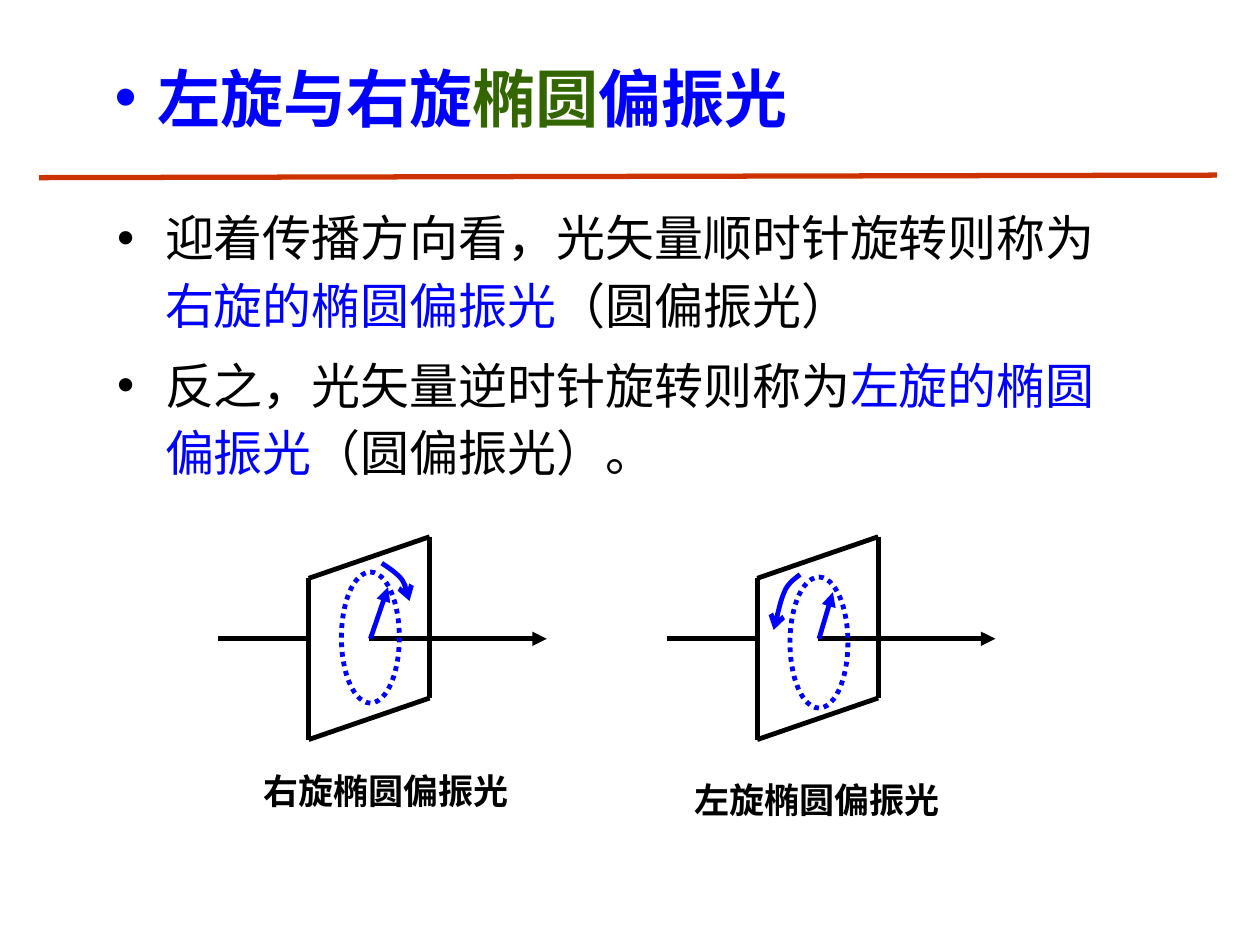
from dataclasses import dataclass

import pptx
import pptx.dml.color
import pptx.enum.dml
import pptx.enum.shapes
import pptx.enum.text
import pptx.oxml.ns
import pptx.util
from lxml import etree
from pptx.util import Inches

Point = tuple[float, float]
Run = tuple[str, str]

BLACK, BLUE, GREEN, RED = "000000", "0000FF", "336600", "CC3300"
STROKE = 2.75
AXIS_Y = 5.07
PANE_WIDTH, PANE_HEIGHT, PANE_RISE, PANE_TOP = 0.96, 1.28, 0.33, 4.59


@dataclass
class Polarization:
    caption: str
    caption_box: tuple[float, float, float, float]
    pane_left: float
    ellipse_top: float
    vector_tip: Point
    rotation: list[Point]


def rgb(value: str) -> pptx.dml.color.RGBColor:
    return pptx.dml.color.RGBColor.from_string(value)


def add_child(parent, tag: str, **attributes: str):
    return etree.SubElement(parent, pptx.oxml.ns.qn(tag), attributes)


def style_line(line, color: str, width: float, arrowhead: str = "") -> None:
    line.color.rgb = rgb(color)
    line.width = pptx.util.Pt(width)
    if arrowhead:
        add_child(line._get_or_add_ln(), "a:tailEnd", type=arrowhead)


def draw_line(slide, start: Point, end: Point, color: str = BLACK,
              width: float = STROKE, arrowhead: str = "") -> None:
    connector = slide.shapes.add_connector(
        pptx.enum.shapes.MSO_CONNECTOR.STRAIGHT,
        *(Inches(value) for value in (*start, *end)))
    style_line(connector.line, color, width, arrowhead)
    add_child(connector._element.spPr, "a:effectLst")


def bezier(controls: list[Point], t: float) -> Point:
    weights = ((1 - t) ** 3, 3 * t * (1 - t) ** 2, 3 * t * t * (1 - t), t ** 3)
    x, y = (sum(w * c[axis] for w, c in zip(weights, controls)) for axis in (0, 1))
    return x, y


def draw_curve(slide, controls: list[Point], steps: int = 8) -> None:
    points = [controls[0]]
    for first in range(0, len(controls) - 1, 3):
        segment = controls[first:first + 4]
        points += [bezier(segment, step / steps) for step in range(1, steps + 1)]
    (start_x, start_y), *rest = [(Inches(x), Inches(y)) for x, y in points]
    builder = slide.shapes.build_freeform(start_x, start_y)
    builder.add_line_segments(rest, close=False)
    curve = builder.convert_to_shape()
    curve.shadow.inherit = False
    curve.fill.background()
    style_line(curve.line, BLUE, STROKE, "arrow")


def place(shape, left: float, top: float, width: float, height: float) -> None:
    shape.left, shape.top = Inches(left), Inches(top)
    shape.width, shape.height = Inches(width), Inches(height)


def write_bullet(paragraph, runs: list[Run], indent: float, bullet_color: str,
                 font: str, size: float, bold: bool) -> None:
    properties = paragraph._p.get_or_add_pPr()
    properties.set("marL", str(Inches(indent)))
    properties.set("indent", str(-Inches(indent)))
    add_child(add_child(properties, "a:buClr"), "a:srgbClr", val=bullet_color)
    add_child(properties, "a:buFont", typeface="Arial")
    add_child(properties, "a:buChar", char="•")
    paragraph.alignment = pptx.enum.text.PP_ALIGN.LEFT
    paragraph.font.name = font
    paragraph.font.size = pptx.util.Pt(size)
    paragraph.font.bold = bold
    for text, color in runs:
        run = paragraph.add_run()
        run.text = text
        run.font.color.rgb = rgb(color)


def write_title(title, runs: list[Run]) -> None:
    place(title, 0.81, 0.41, 5.61, 0.72)
    frame = title.text_frame
    frame.auto_size = pptx.enum.text.MSO_AUTO_SIZE.NONE
    frame.vertical_anchor = pptx.enum.text.MSO_ANCHOR.MIDDLE
    frame.margin_top = frame.margin_bottom = 0
    write_bullet(frame.paragraphs[0], runs, 0.34, BLUE, "Noto Sans CJK SC", 36, True)


def write_definitions(body, definitions: list[list[Run]]) -> None:
    place(body, 0.83, 1.53, 8.25, 2.97)
    frame = body.text_frame
    frame.auto_size = pptx.enum.text.MSO_AUTO_SIZE.NONE
    for index, runs in enumerate(definitions):
        paragraph = frame.add_paragraph() if index else frame.paragraphs[0]
        paragraph.line_spacing = 1.15
        paragraph.space_before = pptx.util.Pt(7 if index else 0)
        write_bullet(paragraph, runs, 0.38, BLACK, "Arial", 28, False)


def write_caption(slide, text: str, box: tuple[float, float, float, float]) -> None:
    caption = slide.shapes.add_textbox(*(Inches(value) for value in box))
    frame = caption.text_frame
    frame.word_wrap = True
    frame.margin_left = frame.margin_right = Inches(0.01)
    frame.margin_top = frame.margin_bottom = Inches(0.01)
    paragraph = frame.paragraphs[0]
    paragraph.alignment = pptx.enum.text.PP_ALIGN.JUSTIFY
    paragraph.font.name = "Times New Roman"
    paragraph.font.size = pptx.util.Pt(20)
    paragraph.font.bold = True
    paragraph.font.color.rgb = rgb(BLACK)
    paragraph.add_run().text = text


def draw_polarization(slide, light: Polarization) -> None:
    left, right = light.pane_left, light.pane_left + PANE_WIDTH
    top_left, top_right = (left, PANE_TOP), (right, PANE_TOP - PANE_RISE)
    bottom_left = (left, PANE_TOP + PANE_HEIGHT)
    bottom_right = (right, PANE_TOP - PANE_RISE + PANE_HEIGHT)
    for start, end in ((top_left, bottom_left), (top_right, bottom_right),
                       (top_left, top_right), (bottom_left, bottom_right)):
        draw_line(slide, start, end)
    draw_line(slide, (left - 0.72, AXIS_Y), (left - 0.01, AXIS_Y))
    draw_line(slide, (left + 0.48, AXIS_Y), (left + 1.89, AXIS_Y), arrowhead="triangle")

    ellipse = slide.shapes.add_shape(
        pptx.enum.shapes.MSO_SHAPE.OVAL, Inches(left + 0.26),
        Inches(light.ellipse_top), Inches(0.46), Inches(1.04))
    ellipse.shadow.inherit = False
    ellipse.fill.background()
    style_line(ellipse.line, BLUE, STROKE)
    ellipse.line.dash_style = pptx.enum.dml.MSO_LINE.ROUND_DOT

    draw_line(slide, (left + 0.49, AXIS_Y), light.vector_tip, BLUE, arrowhead="triangle")
    draw_curve(slide, light.rotation)
    write_caption(slide, light.caption, light.caption_box)


def main() -> None:
    presentation = pptx.Presentation()
    presentation.slide_width, presentation.slide_height = Inches(10), Inches(7.5)
    slide = presentation.slides.add_slide(presentation.slide_layouts[1])
    write_title(slide.shapes.title,
                [("左旋与右旋", BLUE), ("椭圆", GREEN), ("偏振光", BLUE)])
    write_definitions(slide.placeholders[1], [
        [("迎着传播方向看，光矢量顺时针旋转则称为", BLACK),
         ("右旋的椭圆偏振光", BLUE), ("（圆偏振光）", BLACK)],
        [("反之，光矢量逆时针旋转则称为", BLACK),
         ("左旋的椭圆偏振光", BLUE), ("（圆偏振光）。", BLACK)],
    ])
    draw_line(slide, (0.31, 1.41), (9.66, 1.39), RED, 3)
    for light in (
        Polarization("右旋椭圆偏振光", (2.08, 6.1, 3.17, 0.73), 2.45, 4.54, (3.08, 4.66),
                     [(3.03, 4.47), (3.09, 4.51), (3.15, 4.55), (3.19, 4.6),
                      (3.22, 4.65), (3.24, 4.71), (3.25, 4.77)]),
        Polarization("左旋椭圆偏振光", (5.5, 6.17, 2.75, 0.74), 6.01, 4.58, (6.61, 4.7),
                     [(6.35, 4.56), (6.3, 4.6), (6.25, 4.63), (6.22, 4.71),
                      (6.19, 4.78), (6.17, 4.89), (6.14, 5)]),
    ):
        draw_polarization(slide, light)
    presentation.save("out.pptx")


if __name__ == "__main__":
    main()
